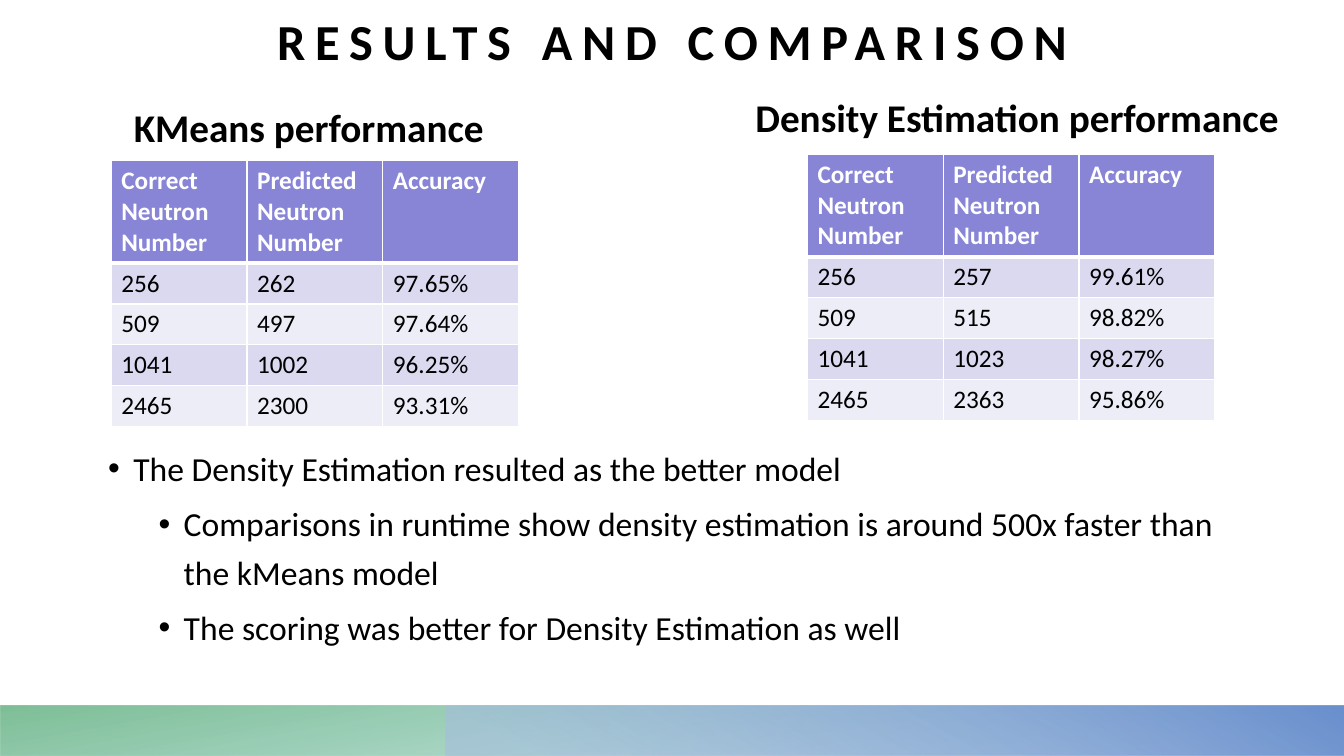
from dataclasses import dataclass

from lxml import etree
from pptx import Presentation
from pptx import util as u
from pptx.dml.color import RGBColor
from pptx.enum import shapes, text
from pptx.oxml import parse_xml
from pptx.oxml.ns import nsdecls, qn

PX = 9525
PAGE = (1280, 720)


@dataclass(frozen=True)
class Theme:
    font: str = "Calibri"
    ink: str = "000000"
    paper: str = "FFFFFF"
    header: str = "8885D7"
    bands: tuple = ("DAD9F0", "EDEDF8")
    title: int = 36
    heading: int = 28
    body: int = 24
    cell: int = 18


THEME = Theme()

# Stops are (position %, colour, opacity %)
FOOTER_BARS = [
    dict(left=0, turn=180, angle=100,
         stops=[(14, "5DB4A2", 28), (100, "68B484", 85)]),
    dict(left=424, turn=0, angle=240,
         stops=[(9, "A6BCE2", 55), (99, "6A90CE", 100)]),
]

COLUMNS = ["Correct Neutron Number", "Predicted Neutron Number", "Accuracy"]
RESULTS = [
    dict(heading="KMeans performance", heading_box=(118, 94, 362, 55),
         table_box=(106, 153, 388, 253),
         rows=[("256", "262", "97.65%"), ("509", "497", "97.64%"),
               ("1041", "1002", "96.25%"), ("2465", "2300", "93.31%")]),
    dict(heading="Density Estimation performance",
         heading_box=(710, 84, 520, 55), table_box=(769, 147, 388, 253),
         rows=[("256", "257", "99.61%"), ("509", "515", "98.82%"),
               ("1041", "1023", "98.27%"), ("2465", "2363", "95.86%")]),
]

FINDINGS = [
    (0, "The Density Estimation resulted as the better model"),
    (1, "Comparisons in runtime show density estimation is around 500x "
        "faster than the kMeans model"),
    (1, "The scoring was better for Density Estimation as well"),
]


def px(*lengths):
    return [u.Emu(length * PX) for length in lengths]


def assign(target, values):
    for name, value in values.items():
        setattr(target, name, value)


def write(para, words, size, color=THEME.ink, bold=False):
    span = para.add_run()
    span.text = words
    assign(span.font, dict(name=THEME.font, size=u.Pt(size), bold=bold))
    span.font.color.rgb = RGBColor.from_string(color)
    return span


def place(holder, box):
    """Move a placeholder to a box and clear its insets."""
    assign(holder, dict(zip(("left", "top", "width", "height"), px(*box))))
    frame = holder.text_frame
    assign(frame, dict(margin_left=0, margin_top=0, margin_right=0,
                       margin_bottom=0, word_wrap=True,
                       auto_size=text.MSO_AUTO_SIZE.NONE))
    return frame


def fill_gradient(shape, stops, angle):
    marks = "".join(
        f'<a:gs pos="{position * 1000}"><a:srgbClr val="{color}">'
        f'<a:alpha val="{opacity * 1000}"/></a:srgbClr></a:gs>'
        for position, color, opacity in stops)
    gradient = parse_xml(
        f'<a:gradFill {nsdecls("a")} rotWithShape="1"><a:gsLst>{marks}</a:gsLst>'
        f'<a:lin ang="{angle * 60000}" scaled="0"/></a:gradFill>')
    shape.element.spPr.find(qn("a:prstGeom")).addnext(gradient)


def add_footer(page, box):
    """Lay the gradient bars behind the title, each running to the right edge."""
    left, top, width, height = box
    for bar in FOOTER_BARS:
        shape = page.shapes.add_shape(
            shapes.MSO_SHAPE.RECTANGLE,
            *px(left + bar["left"], top, width - bar["left"], height))
        shape.shadow.inherit = False
        shape.line.fill.background()
        shape.rotation = bar["turn"]
        shape.element.spPr.find(qn("a:xfrm")).set("flipH", "1")
        fill_gradient(shape, bar["stops"], bar["angle"])
        page.shapes.title.element.addprevious(shape.element)


def add_title(page, box):
    frame = place(page.shapes.title, box)
    frame.vertical_anchor = text.MSO_ANCHOR.BOTTOM
    para = frame.paragraphs[0]
    para.alignment = text.PP_ALIGN.CENTER
    span = write(para, "RESULTS AND COMPARISON", THEME.title, bold=True)
    span.font.size = u.Pt(THEME.title)
    span.font._element.set("spc", "700")


def add_findings(page, box):
    frame = place(page.placeholders[1], box)
    frame.vertical_anchor = text.MSO_ANCHOR.TOP
    for index, (level, words) in enumerate(FINDINGS):
        para = frame.add_paragraph() if index else frame.paragraphs[0]
        assign(para, dict(level=level, line_spacing=1.2,
                          space_before=u.Pt(5 if index else 0),
                          alignment=text.PP_ALIGN.LEFT))
        properties = para._p.get_or_add_pPr()
        indent, hang = px(24 + 48 * level, -24)
        properties.set("marL", str(indent))
        properties.set("indent", str(hang))
        etree.SubElement(properties, qn("a:buFont"), typeface="Arial")
        etree.SubElement(properties, qn("a:buChar"), char="•")
        write(para, words, THEME.body)


def draw_borders(cell, top, bottom):
    properties = cell._tc.get_or_add_tcPr()
    for side, points in dict(L=1, R=1, T=top, B=bottom).items():
        properties.append(parse_xml(
            f'<a:ln{side} {nsdecls("a")} w="{u.Pt(points)}"><a:solidFill>'
            f'<a:srgbClr val="{THEME.paper}"/></a:solidFill></a:ln{side}>'))


def add_table(page, box, rows):
    grid = [COLUMNS, *rows]
    table = page.shapes.add_table(len(grid), len(COLUMNS), *px(*box)).table
    row_height = 39
    header_height = box[3] - row_height * len(rows)
    for index, values in enumerate(grid):
        header = index == 0
        table.rows[index].height = px(header_height if header else row_height)[0]
        fill = THEME.header if header else THEME.bands[(index - 1) % 2]
        for column, words in enumerate(values):
            cell = table.cell(index, column)
            draw_borders(cell, top=3 if index == 1 else 1,
                         bottom=3 if header else 1)
            cell.fill.solid()
            cell.fill.fore_color.rgb = RGBColor.from_string(fill)
            write(cell.text_frame.paragraphs[0], words, THEME.cell,
                  THEME.paper if header else THEME.ink, header)


def add_heading(page, box, words):
    frame = page.shapes.add_textbox(*px(*box)).text_frame
    assign(frame, dict(word_wrap=True,
                       auto_size=text.MSO_AUTO_SIZE.SHAPE_TO_FIT_TEXT))
    write(frame.paragraphs[0], words, THEME.heading, bold=True)


def add_comparison_page(deck):
    page = deck.slides.add_slide(deck.slide_layouts[1])
    width, height = PAGE
    add_footer(page, (0, height - 48, width, 48))
    add_title(page, (103, 0, 1075, 67))
    add_findings(page, (103, 419, 1075, 286))
    for result in RESULTS:
        add_table(page, result["table_box"], result["rows"])
    for result in RESULTS:
        add_heading(page, result["heading_box"], result["heading"])


def main():
    deck = Presentation()
    deck.slide_width, deck.slide_height = px(*PAGE)
    add_comparison_page(deck)
    deck.save("out.pptx")


if __name__ == "__main__":
    main()
